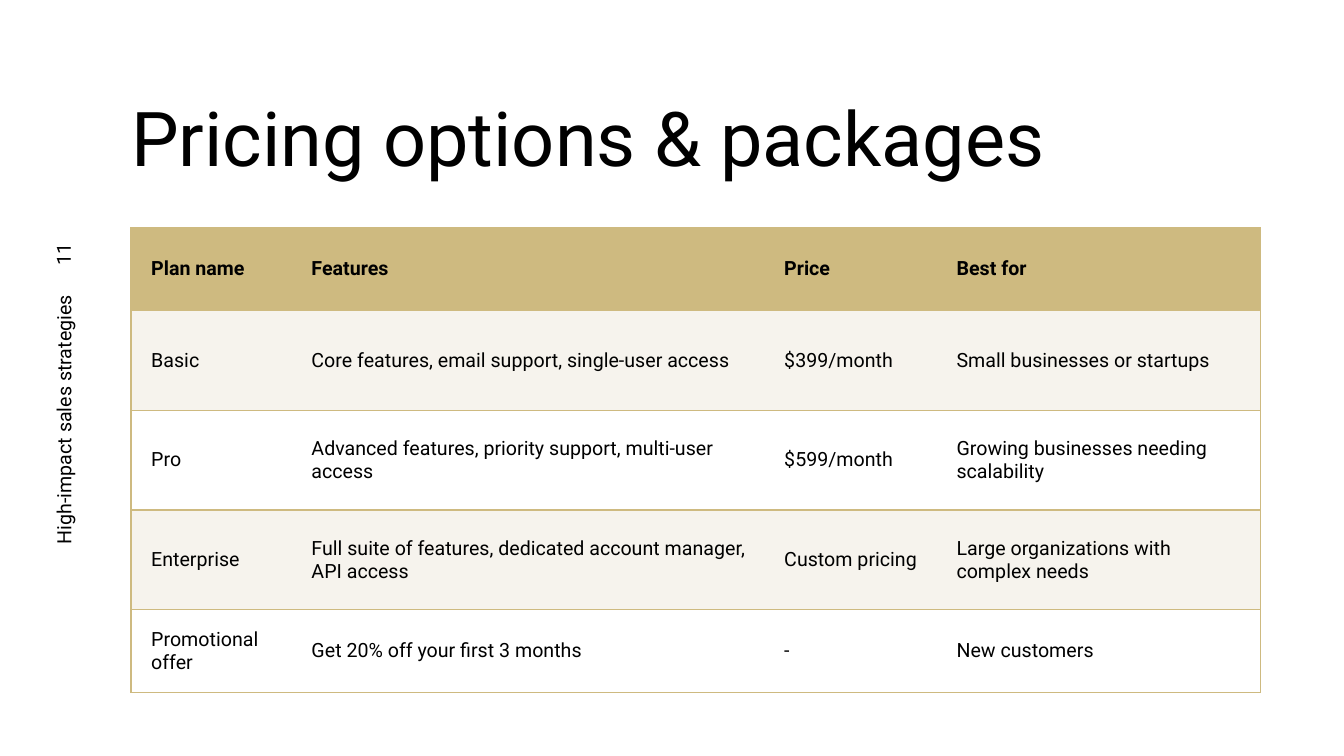
from lxml import etree
from pptx import Presentation
from pptx.dml.color import RGBColor
from pptx.enum.text import MSO_ANCHOR, MSO_AUTO_SIZE, PP_ALIGN
from pptx.oxml.ns import qn
from pptx.util import Pt

MIDDLE = MSO_ANCHOR.MIDDLE
LEFT, RIGHT = PP_ALIGN.LEFT, PP_ALIGN.RIGHT
NO_AUTOFIT = MSO_AUTO_SIZE.NONE

# Content
TITLE = "Pricing options & packages"
PAGE_NUMBER = "11"
DECK_NAME = "High-impact sales strategies"
PLANS = [
    ("Plan name", "Features", "Price", "Best for"),
    ("Basic", "Core features, email support, single-user access",
     "$399/month", "Small businesses or startups"),
    ("Pro", "Advanced features, priority support, multi-user access",
     "$599/month", "Growing businesses needing scalability"),
    ("Enterprise", "Full suite of features, dedicated account manager, API access",
     "Custom pricing", "Large organizations with complex needs"),
    ("Promotional offer", "Get 20% off your first 3 months", "-", "New customers"),
]

# Look and layout, in points
FONT = "Roboto"
BLACK, WHITE, GOLD, CREAM = "000000", "FFFFFF", "CEBA80", "F6F3ED"
MARGIN_LEFT, TABLE_TOP = 93.6, 162.7
COLUMN_WIDTHS = [114.5, 337.7, 123.1, 231.8]
ROW_HEIGHTS = [59, 71.3, 71.3, 71.3, 59]
CELL_INSETS = (14.4, 10.8, 10.8, 10.8)


def color(hex_code):
    return RGBColor.from_string(hex_code)


def write(frame, text, size=14, bold=False, align=LEFT, line_spacing=1.0):
    paragraph = frame.paragraphs[0]
    paragraph.alignment = align
    paragraph.line_spacing = line_spacing
    run = paragraph.add_run()
    run.text = text
    run.font.name = FONT
    run.font.size = Pt(size)
    run.font.bold = bold
    run.font.color.rgb = color(BLACK)


def place(shape, left, top, width, height):
    shape.left, shape.top = Pt(left), Pt(top)
    shape.width, shape.height = Pt(width), Pt(height)


def set_insets(target, left, top, right, bottom):
    target.margin_left, target.margin_top = Pt(left), Pt(top)
    target.margin_right, target.margin_bottom = Pt(right), Pt(bottom)


def set_borders(cell, visible_sides):
    properties = cell._tc.get_or_add_tcPr()
    for position, side in enumerate("LRTB"):
        line = etree.Element(qn(f"a:ln{side}"), w=str(Pt(1)))
        if side in visible_sides:
            fill = etree.SubElement(line, qn("a:solidFill"))
            etree.SubElement(fill, qn("a:srgbClr"), val=GOLD)
        else:
            etree.SubElement(line, qn("a:noFill"))
        properties.insert(position, line)


def add_side_label(slide, text, left, top, width, height, align=LEFT):
    label = slide.shapes.add_textbox(Pt(left), Pt(top), Pt(width), Pt(height))
    label.rotation = 270
    label.text_frame.word_wrap = True
    label.text_frame.vertical_anchor = MIDDLE
    write(label.text_frame, text, align=align)


def add_pricing_table(slide):
    table = slide.shapes.add_table(
        len(PLANS), len(COLUMN_WIDTHS), Pt(MARGIN_LEFT), Pt(TABLE_TOP),
        Pt(sum(COLUMN_WIDTHS)), Pt(sum(ROW_HEIGHTS))).table
    table.horz_banding = False
    for column, width in zip(table.columns, COLUMN_WIDTHS):
        column.width = Pt(width)
    last = len(COLUMN_WIDTHS) - 1
    for r, plan in enumerate(PLANS):
        table.rows[r].height = Pt(ROW_HEIGHTS[r])
        row_fill = GOLD if r == 0 else CREAM if r % 2 else WHITE
        for c, text in enumerate(plan):
            cell = table.cell(r, c)
            cell.vertical_anchor = MIDDLE
            set_insets(cell, *CELL_INSETS)
            cell.fill.solid()
            cell.fill.fore_color.rgb = color(row_fill)
            set_borders(cell, "TB" + ("L" if c == 0 else "R" if c == last else ""))
            write(cell.text_frame, text, bold=r == 0)


def main():
    deck = Presentation()
    deck.slide_width, deck.slide_height = Pt(960), Pt(540)
    slide = deck.slides.add_slide(deck.slide_layouts[5])
    slide.background.fill.solid()
    slide.background.fill.fore_color.rgb = color(WHITE)

    # Title
    title = slide.shapes.title
    place(title, MARGIN_LEFT, 69.1, 817.9, 68.4)
    title.text_frame.auto_size = NO_AUTOFIT
    title.text_frame.word_wrap = True
    title.text_frame.vertical_anchor = MIDDLE
    set_insets(title.text_frame, 0, 3.6, 7.2, 3.6)
    write(title.text_frame, TITLE, size=54, line_spacing=0.8)

    # Page number and deck name, reading upwards
    add_side_label(slide, PAGE_NUMBER, 28.1, 165.6, 33.8, 28.8)
    add_side_label(slide, DECK_NAME, -51.1, 285.8, 193, 28.8, align=RIGHT)

    # Plans
    add_pricing_table(slide)
    deck.save("out.pptx")


if __name__ == "__main__":
    main()
